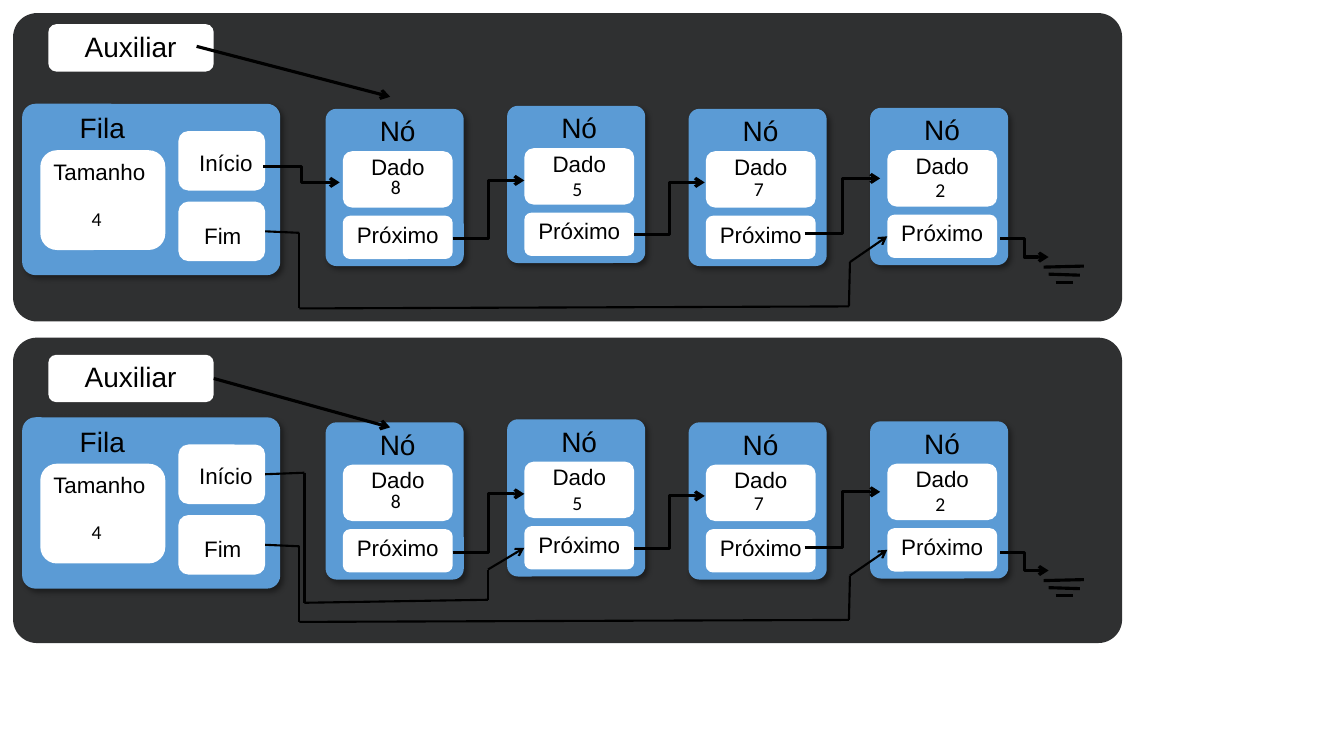
import itertools

import pptx
import pptx.dml.color
import pptx.enum.dml
import pptx.enum.shapes
import pptx.enum.text
import pptx.oxml.ns
import pptx.util
from lxml import etree

RGBColor = pptx.dml.color.RGBColor
BLACK = RGBColor(0x00, 0x00, 0x00)
WHITE = RGBColor(0xFF, 0xFF, 0xFF)
BLUE = RGBColor(0x5B, 0x9B, 0xD5)
CHARCOAL = RGBColor(0x2F, 0x30, 0x31)

CELL = pptx.util.Inches(0.1)  # all lengths are columns and rows of this square grid
ROUNDING = 0.078
LEFT_SIDE, RIGHT_SIDE = 1, 3
STRAIGHT = pptx.enum.shapes.MSO_CONNECTOR.STRAIGHT
ELBOW = pptx.enum.shapes.MSO_CONNECTOR.ELBOW
CENTER = pptx.enum.text.PP_ALIGN.CENTER
LEFT = pptx.enum.text.PP_ALIGN.LEFT

QUEUE_DROP = 31.1
NODE_LEFT, NODE_PITCH = 32.3, 18
# value, top of the node, distance from there to the value
NODES = [("8", 10.8, 6.1), ("5", 10.5, 6.6), ("7", 10.8, 6.3), ("2", 10.7, 6.5)]
ELBOWS = [
    ((26.1, 16.5), (33.7, 18.1)),
    ((44.9, 23.7), (52, 17.9)),
    ((62.9, 23.3), (69.9, 18.1)),
    ((79.8, 23.2), (87.3, 17.7)),
    ((99.2, 23.7), (104, 25.5)),
]
GROUND_BARS = [
    ((103.5, 26.5), (107.5, 26.4)),
    ((104, 27.2), (107.1, 27.3)),
    ((104.7, 28), (106.4, 28)),
]
END_ROUTE = [(29.7, 23.1), (29.7, 30.6), (84.2, 30.4), (84.3, 26)]
START_ROUTE = [(30.2, 15.8), (30.2, 28.7), (48.4, 28.4), (48.4, 25.4)]


def cells(*lengths):
    return [round(length * CELL) for length in lengths]


def lower(point, drop):
    return point[0], point[1] + drop


def add_child(parent, tag, **attributes):
    child = etree.SubElement(parent, pptx.oxml.ns.qn(tag))
    for name, value in attributes.items():
        child.set(name, str(value))
    return child


def add_box(shapes, left, top, width, height, color=WHITE, rounding=None):
    box = shapes.add_shape(
        pptx.enum.shapes.MSO_SHAPE.ROUNDED_RECTANGLE, *cells(left, top, width, height))
    if rounding:
        box.adjustments[0] = rounding
    box.fill.solid()
    box.fill.fore_color.rgb = color
    box.line.fill.background()
    box.shadow.inherit = False
    return box


def add_card(shapes, *place):
    card = add_box(shapes, *place, color=BLUE, rounding=ROUNDING)
    effects = card._element.spPr.find(pptx.oxml.ns.qn("a:effectLst"))
    shadow = add_child(effects, "a:outerShdw", blurRad=50800, dist=38100,
                       dir=2700000, algn="tl", rotWithShape=0)
    tint = add_child(shadow, "a:srgbClr", val=BLACK)
    add_child(tint, "a:alpha", val=40000)


def add_text(shapes, text, left, top, width, height, size=16, font="Arial", align=CENTER):
    box = shapes.add_textbox(*cells(left, top, width, height))
    box.text_frame.word_wrap = True
    para = box.text_frame.paragraphs[0]
    para.alignment = align
    span = para.add_run()
    span.text = text
    span.font.size = pptx.util.Pt(size)
    span.font.name = font
    span.font.color.rgb = BLACK


def add_value(shapes, text, left, top):
    add_text(shapes, text, left, top, 3.4, 3.4, size=14, font="Calibri", align=LEFT)


def add_line(shapes, start, end, kind=STRAIGHT, weight=2.25, arrow=False):
    """Draw from start to end; each is a grid point, or a box joined at its near side."""
    joins_start, joins_end = (not isinstance(place, tuple) for place in (start, end))
    first = (0, 0) if joins_start else start
    last = (0, 0) if joins_end else end
    line = shapes.add_connector(kind, *cells(*first, *last))
    if joins_start:
        line.begin_connect(start, RIGHT_SIDE)
    if joins_end:
        line.end_connect(end, LEFT_SIDE)
    line.line.color.rgb = BLACK
    line.line.width = pptx.util.Pt(weight)
    if arrow:
        add_child(line.line._get_or_add_ln(), "a:tailEnd", type="arrow")
    add_child(line._element.spPr, "a:effectLst")


def add_route(shapes, start, corners, end, drop):
    stops = [start, *(lower(corner, drop) for corner in corners), end]
    for here, there in itertools.pairwise(stops):
        add_line(shapes, here, there, weight=1.5, arrow=there is end)


def add_queue_card(page, drop):
    """Return the boxes of the start and end pointers."""
    shapes = page.shapes.add_group_shape().shapes
    add_card(shapes, 2.2, 10.3 + drop, 25.6, 17)
    add_box(shapes, 4, 14.9 + drop, 12.4, 9.9)
    add_text(shapes, "Fila", 6.4, 10.5 + drop, 7.5, 4.4, size=20)
    add_text(shapes, "Tamanho", 4, 15.2 + drop, 11.7, 3.7)
    start_box = add_box(shapes, 17.7, 13 + drop, 8.6, 5.9)
    add_text(shapes, "Início", 18.4, 14.3 + drop, 8, 3.7)
    end_box = add_box(shapes, 17.7, 20 + drop, 8.6, 5.9)
    add_text(shapes, "Fim", 18.1, 21.5 + drop, 8, 3.7)
    add_value(page.shapes, "4", 8.1, 20 + drop)
    return start_box, end_box


def add_node(page, left, top, value, value_drop):
    """Return the box of the pointer to the next node."""
    shapes = page.shapes.add_group_shape().shapes
    add_card(shapes, left, top, 13.7, 15.6)
    add_box(shapes, left + 1.7, top + 4.2, 10.9, 5.6)
    add_text(shapes, "Nó", left + 4, top, 6.3, 4.4, size=20)
    add_text(shapes, "Dado", left + 2.7, top + 3.9, 8.9, 3.7)
    next_box = add_box(shapes, left + 1.7, top + 10.6, 10.9, 4.3)
    add_text(shapes, "Próximo", left + 1.7, top + 10.6, 10.9, 3.7)
    add_value(page.shapes, value, left + 5.5, top + value_drop)
    return next_box


def add_queue(page, drop):
    """Draw the queue with its nodes; return the start box and the next boxes."""
    start_box, end_box = add_queue_card(page, drop)
    next_boxes = [
        add_node(page, NODE_LEFT + NODE_PITCH * index, top + drop, value, value_drop)
        for index, (value, top, value_drop) in enumerate(NODES)]
    ground = page.shapes.add_group_shape().shapes
    for start, end in GROUND_BARS:
        add_line(ground, lower(start, drop), lower(end, drop))
    # the first elbow leaves the start pointer, which is rerouted in the lower queue
    for start, end in ELBOWS[1 if drop else 0:]:
        add_line(page.shapes, lower(start, drop), lower(end, drop), kind=ELBOW, arrow=True)
    add_route(page.shapes, end_box, END_ROUTE, next_boxes[-1], drop)
    return start_box, next_boxes


def add_auxiliary(page, top):
    box = add_box(page.shapes, 4.8, top, 16.4, 4.7)
    add_text(page.shapes, "Auxiliar", 6.4, top, 13.1, 4.4, size=20)
    return box


def main():
    deck = pptx.Presentation()
    deck.slide_width = pptx.util.Inches(13.33)
    deck.slide_height = pptx.util.Inches(7.5)
    page = deck.slides.add_slide(deck.slide_layouts.get_by_name("Blank"))

    for top, height in ((33.5, 30.3), (1.3, 30.6)):
        add_box(page.shapes, 1.3, top, 110, height, color=CHARCOAL, rounding=ROUNDING)

    add_queue(page, 0)
    add_auxiliary(page, 2.4)
    add_line(page.shapes, (19.5, 4.6), (38.7, 9.6), arrow=True)

    start_box, next_boxes = add_queue(page, QUEUE_DROP)
    auxiliary = add_auxiliary(page, 35.2)
    add_line(page.shapes, auxiliary, (38.7, 42.4), arrow=True)
    add_route(page.shapes, start_box, START_ROUTE, next_boxes[1], QUEUE_DROP)

    deck.save("out.pptx")


if __name__ == "__main__":
    main()
